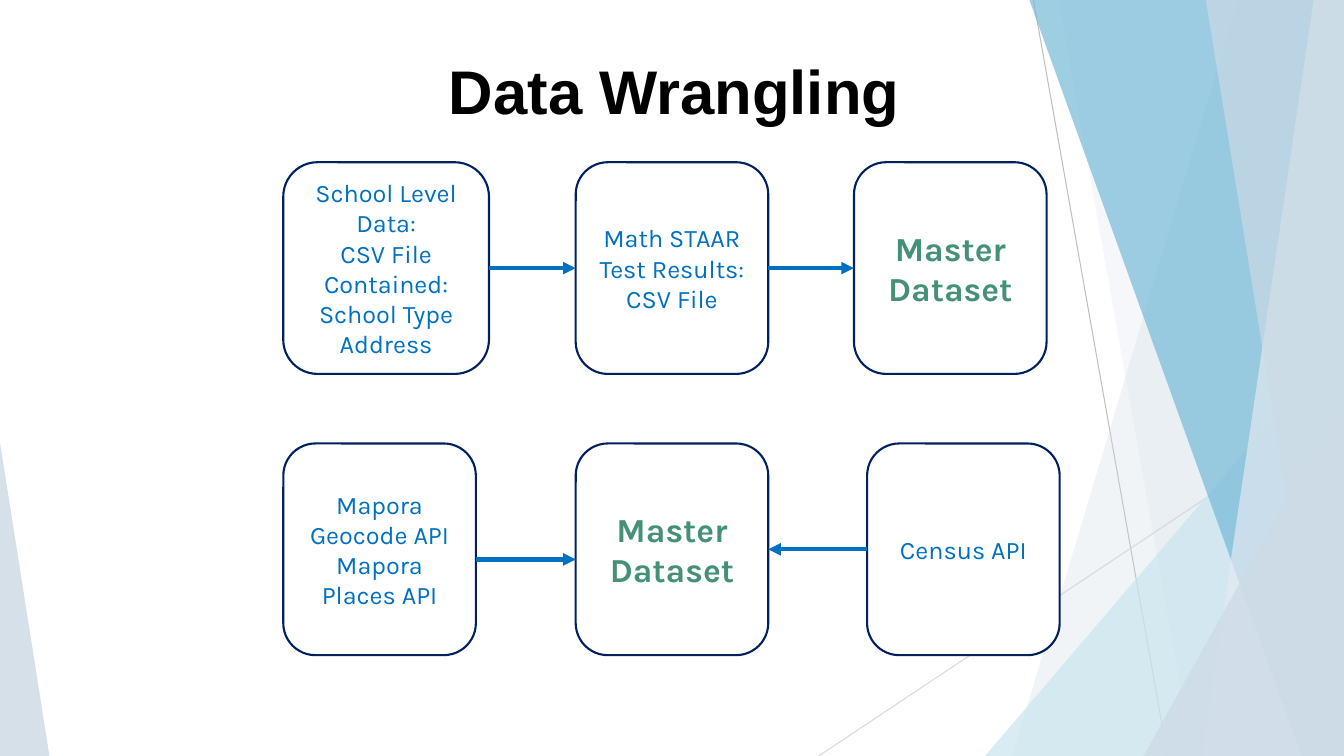
from lxml import etree
from pptx import Presentation
from pptx import util as u
from pptx.dml.color import RGBColor
from pptx.enum import shapes, text
from pptx.oxml.ns import qn

WIDTH, HEIGHT = 13.33, 7.5
BLUE, GREEN, NAVY = "0070C0", "459079", "002060"
BOX_WIDTH, BOX_HEIGHT = 1.91, 2.1
LEFT, RIGHT = 1, 3


def color(value):
    return RGBColor.from_string(value)


def fill_facet(shape, value, opacity):
    shape.shadow.inherit = False
    shape.fill.solid()
    shape.fill.fore_color.rgb = color(value)
    shape.line.fill.background()
    fill = shape.fill._xPr.find(qn("a:solidFill"))
    etree.SubElement(fill[0], qn("a:alpha"), val=str(opacity * 1000))


def add_band(slide, top_x, bottom_x, value, opacity):
    points = [(top_x, 0), (WIDTH, 0), (WIDTH, HEIGHT), (bottom_x, HEIGHT)]
    corners = [(u.Inches(x), u.Inches(y)) for x, y in points]
    builder = slide.shapes.build_freeform(*corners[0])
    builder.add_line_segments(corners[1:], close=True)
    fill_facet(builder.convert_to_shape(), value, opacity)


def add_triangle(slide, left, top, right, apex, value, opacity):
    shape = slide.shapes.add_shape(
        shapes.MSO_SHAPE.ISOSCELES_TRIANGLE, u.Inches(left), u.Inches(top),
        u.Inches(right - left), u.Inches(HEIGHT - top))
    shape.adjustments[0] = apex
    fill_facet(shape, value, opacity)


def add_line(slide, start, end, value, width):
    line = slide.shapes.add_connector(
        shapes.MSO_CONNECTOR.STRAIGHT, *(u.Inches(n) for n in start + end))
    line.line.color.rgb = color(value)
    line.line.width = u.Pt(width)
    etree.SubElement(line._element.spPr, qn("a:effectLst"))
    return line


def add_arrow(slide, start, end):
    arrow = add_line(slide, start, end, BLUE, 3)
    etree.SubElement(arrow.line._get_or_add_ln(), qn("a:tailEnd"), type="triangle")
    return arrow


def join_boxes(slide, source, target, source_side, target_side):
    arrow = add_arrow(slide, (0, 0), (1, 1))
    arrow.begin_connect(source, source_side)
    arrow.end_connect(target, target_side)


def write_lines(frame, lines, font_name, size, value, bold=False):
    frame.word_wrap = True
    for index, line in enumerate(lines):
        paragraph = frame.paragraphs[0] if index == 0 else frame.add_paragraph()
        paragraph.alignment = text.PP_ALIGN.CENTER
        run = paragraph.add_run()
        run.text = line
        run.font.name = font_name
        run.font.size = u.Pt(size)
        run.font.bold = bold
        run.font.color.rgb = color(value)


def add_box(slide, left, top, lines, width=BOX_WIDTH, master=False):
    box = slide.shapes.add_shape(
        shapes.MSO_SHAPE.ROUNDED_RECTANGLE, u.Inches(left), u.Inches(top),
        u.Inches(width), u.Inches(BOX_HEIGHT))
    box.shadow.inherit = False
    box.fill.solid()
    box.fill.fore_color.rgb = color("FFFFFF")
    box.line.color.rgb = color(NAVY)
    box.line.width = u.Pt(1.5)
    box.text_frame.vertical_anchor = text.MSO_ANCHOR.MIDDLE
    size, value = (24, GREEN) if master else (18, BLUE)
    write_lines(box.text_frame, lines, "Karla", size, value, master)
    return box


def add_backdrop(slide):
    add_line(slide, (10.25, 0), (11.58, HEIGHT), "BFBFBF", 0.75)
    add_line(slide, (WIDTH, 4.03), (8.12, HEIGHT), "D9D9D9", 0.75)
    add_band(slide, 12.28, 10.04, "CEDBE6", 30)
    add_band(slide, 10.5, 11.83, "CEDBE6", 20)
    add_triangle(slide, 9.77, 3.33, WIDTH, 1, "CBE5F0", 72)
    add_band(slide, 10.21, 12.91, "75BAD7", 70)
    add_band(slide, 13.03, 11.92, "E2E9F0", 70)
    add_band(slide, 11.96, 13.18, "CEDBE6", 65)
    add_triangle(slide, 11.34, 3.93, WIDTH, 1, "CEDBE6", 80)
    add_triangle(slide, 0, 4.39, 0.49, 0, "CEDBE6", 85)


def add_title(slide, left, top, width, height):
    title = slide.shapes.add_textbox(
        u.Inches(left), u.Inches(top), u.Inches(width), u.Inches(height))
    write_lines(title.text_frame, ["Data Wrangling"], "Arial", 44, "000000", True)
    title.text_frame.auto_size = text.MSO_AUTO_SIZE.SHAPE_TO_FIT_TEXT


def add_file_row(slide, left, top):
    school = add_box(slide, left, top, [
        "School Level Data:", "CSV File", "Contained: School Type Address"], 2.04)
    results = add_box(slide, left + 2.9, top, ["Math STAAR Test Results:", "CSV File"])
    master = add_box(slide, left + 5.66, top, ["Master Dataset"], master=True)
    join_boxes(slide, school, results, RIGHT, LEFT)
    join_boxes(slide, results, master, RIGHT, LEFT)


def add_api_row(slide, left, top):
    places = add_box(slide, left, top, ["Mapora Geocode API", "Mapora Places API"])
    master = add_box(slide, left + 2.9, top, ["Master Dataset"], master=True)
    census = add_box(slide, left + 5.79, top, ["Census API"])
    arrow_y = top + 1.15
    add_arrow(slide, (left + BOX_WIDTH, arrow_y), (left + 2.9, arrow_y))
    join_boxes(slide, census, master, LEFT, RIGHT)


def main():
    presentation = Presentation()
    presentation.slide_width = u.Inches(WIDTH)
    presentation.slide_height = u.Inches(HEIGHT)
    slide = presentation.slides.add_slide(presentation.slide_layouts[6])
    add_backdrop(slide)
    add_title(slide, 0.31, 0.48, 12.76, 0.84)
    add_file_row(slide, 2.81, 1.61)
    add_api_row(slide, 2.81, 4.4)
    presentation.save("out.pptx")


if __name__ == "__main__":
    main()
